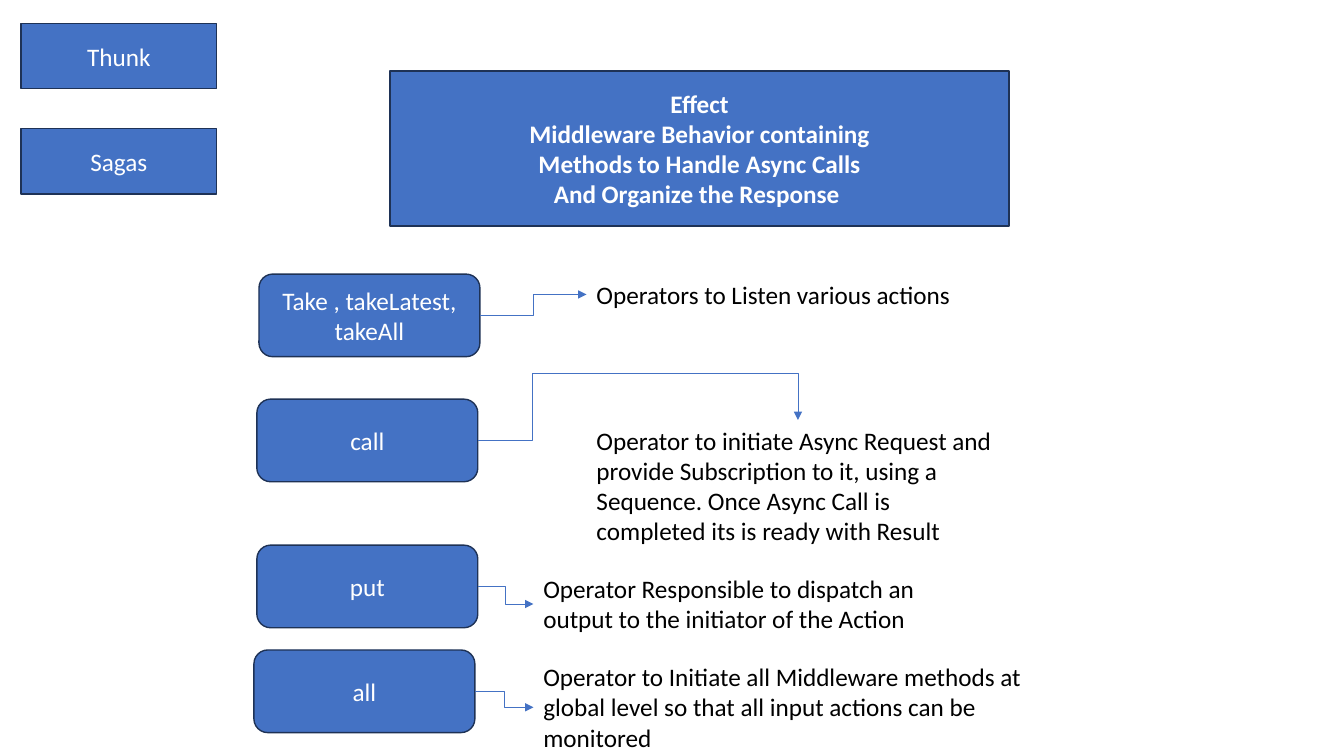
from lxml import etree
from pptx import Presentation
from pptx.dml.color import RGBColor
from pptx.enum import shapes, text
from pptx.oxml import ns
from pptx.util import Pt

FONT = "Calibri"
BLUE, NAVY, WHITE, BLACK = "4472C4", "1E3256", "FFFFFF", "000000"
TOP, LEFT, RIGHT = 0, 1, 3  # connection sites

EFFECT_LINES = [
    "Effect",
    "Middleware Behavior containing",
    "Methods to Handle Async Calls",
    "And Organize the Response ",
]

# Operator, box left and top, description, its left, top, width and height
OPERATORS = [
    ("Take , takeLatest, takeAll", 185, 195.8,
     "Operators to Listen various actions", 419, 195.8, 302, 29.1),
    ("call", 183.5, 285.1,
     "Operator to initiate Async Request and provide Subscription to it, "
     "using a Sequence. Once Async Call is completed its is ready with Result",
     419, 300, 302, 94.5),
    ("put", 183.5, 389.4,
     "Operator Responsible to dispatch an output to the initiator of the Action",
     381, 406, 294, 50.9),
    ("all", 181.4, 464.3,
     "Operator to Initiate all Middleware methods at global level so that "
     "all input actions can be monitored", 381, 468.9, 358, 72.7),
]


def color(value):
    return RGBColor.from_string(value)


def write(sp, lines, font_color, align, bold=False):
    tf = sp.text_frame
    tf.word_wrap = True
    tf.text = "\n".join(lines)
    for p in tf.paragraphs:
        p.alignment = align
        p.font.name = FONT
        p.font.size = Pt(18)
        p.font.bold = bold
        p.font.color.rgb = color(font_color)
    return tf


def paint(sp):
    sp.fill.solid()
    sp.fill.fore_color.rgb = color(BLUE)
    sp.line.color.rgb = color(NAVY)
    sp.line.width = Pt(1)


def add_title(s, lines, left, top, width, height):
    sp = s.shapes.title
    sp.left, sp.top, sp.width, sp.height = map(Pt, (left, top, width, height))
    paint(sp)
    tf = write(sp, lines, WHITE, text.PP_ALIGN.CENTER, bold=True)
    tf.auto_size = text.MSO_AUTO_SIZE.NONE
    tf.vertical_anchor = text.MSO_ANCHOR.MIDDLE


def add_box(s, kind, label, left, top, width, height):
    sp = s.shapes.add_shape(kind, *map(Pt, (left, top, width, height)))
    sp.shadow.inherit = False
    paint(sp)
    tf = write(sp, [label], WHITE, text.PP_ALIGN.CENTER)
    tf.vertical_anchor = text.MSO_ANCHOR.MIDDLE
    return sp


def add_description(s, words, left, top, width, height):
    sp = s.shapes.add_textbox(*map(Pt, (left, top, width, height)))
    tf = write(sp, [words], BLACK, text.PP_ALIGN.LEFT)
    tf.auto_size = text.MSO_AUTO_SIZE.SHAPE_TO_FIT_TEXT
    return sp


def add_arrow(s, box, target, site):
    if site == TOP:
        end = target.left + target.width // 2, target.top
    else:
        end = target.left, target.top + target.height // 2
    arrow = s.shapes.add_connector(
        shapes.MSO_CONNECTOR.ELBOW,
        box.left + box.width, box.top + box.height // 2, *end)
    arrow.begin_connect(box, RIGHT)
    arrow.end_connect(target, site)
    arrow.line.color.rgb = color(BLUE)
    arrow.line.width = Pt(0.5)

    # Arrowhead and no shadow
    sp_pr = arrow.element.spPr
    etree.SubElement(arrow.line._get_or_add_ln(), ns.qn("a:tailEnd"), type="triangle")
    etree.SubElement(sp_pr, ns.qn("a:effectLst"))

    # An arrow entering from above takes one more bend
    if site == TOP:
        geometry = sp_pr.find(ns.qn("a:prstGeom"))
        geometry.set("prst", "bentConnector4")
        guides = geometry.find(ns.qn("a:avLst"))
        for name, value in (("adj1", 17000), ("adj2", 326800)):
            etree.SubElement(guides, ns.qn("a:gd"), name=name, fmla=f"val {value}")


def main():
    prs = Presentation()
    prs.slide_width, prs.slide_height = Pt(960), Pt(540)
    s = prs.slides.add_slide(prs.slide_layouts[5])

    # Heading
    add_title(s, EFFECT_LINES, 278.6, 50.6, 442.2, 110.8)

    # Operators with their descriptions
    rounded = shapes.MSO_SHAPE.ROUNDED_RECTANGLE
    for label, left, top, words, *place in OPERATORS:
        box = add_box(s, rounded, label, left, top, 157.8, 59)
        description = add_description(s, words, *place)
        add_arrow(s, box, description, TOP if label == "call" else LEFT)

    # Middleware kinds
    for i, label in enumerate(("Thunk", "Sagas")):
        add_box(s, shapes.MSO_SHAPE.RECTANGLE, label, 15, 16.7 + 75.2 * i, 139.8, 46.6)

    prs.save("out.pptx")


if __name__ == "__main__":
    main()
